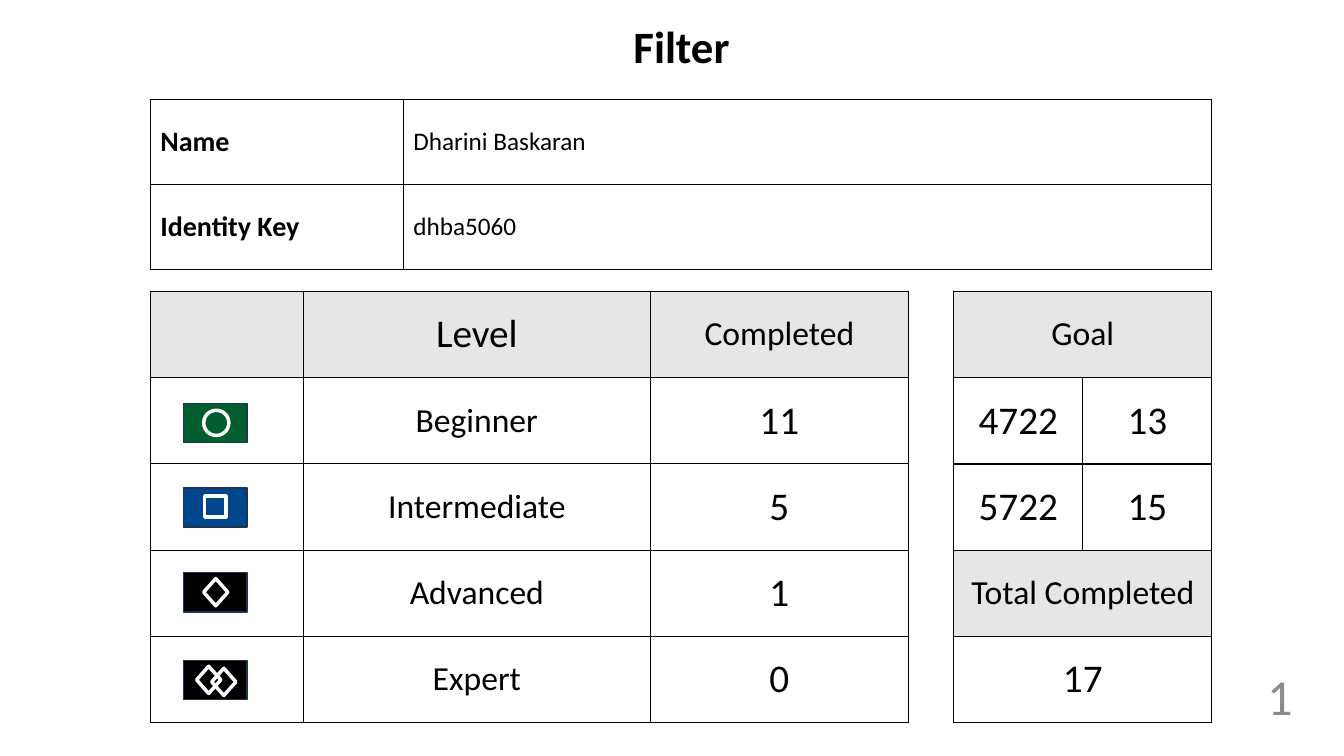
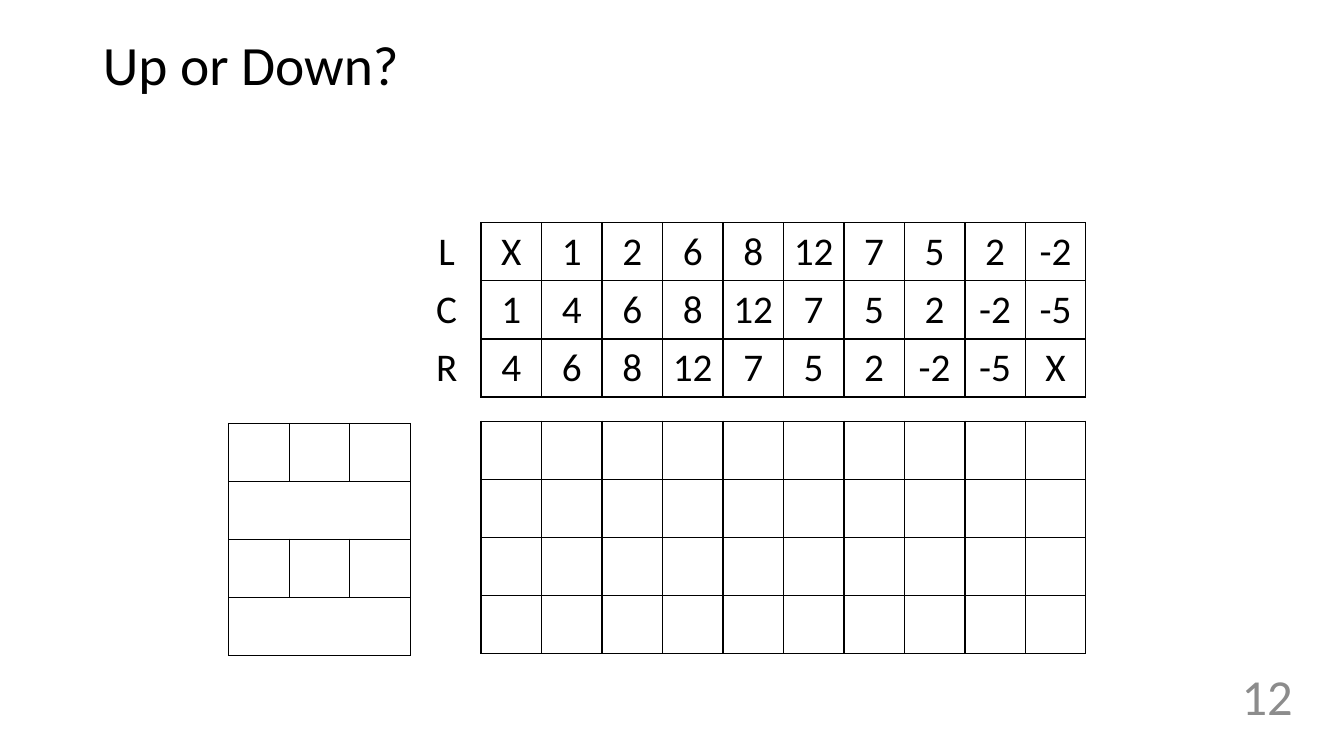
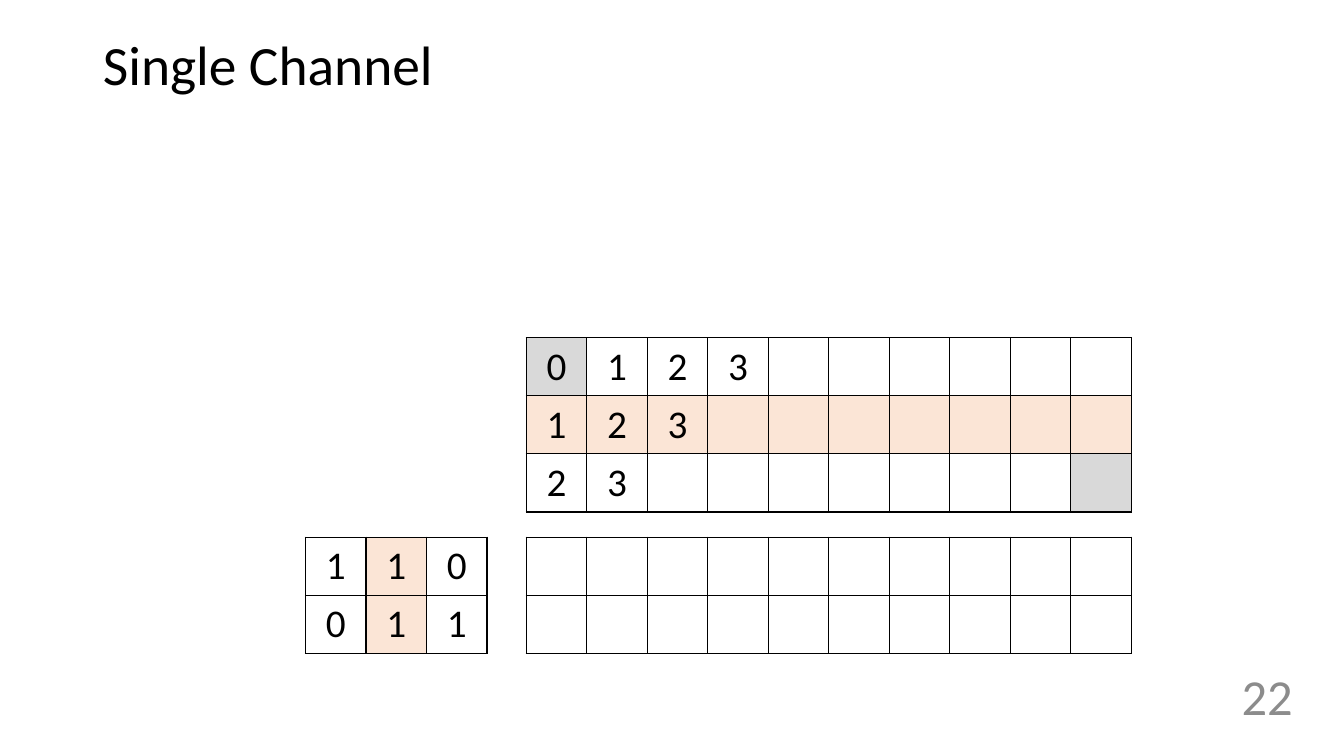
from dataclasses import dataclass

from lxml import etree
from pptx import Presentation
from pptx.dml.color import RGBColor
from pptx.enum.shapes import MSO_SHAPE
from pptx.enum.text import MSO_ANCHOR, MSO_AUTO_SIZE, PP_ALIGN
from pptx.oxml.ns import qn
from pptx.util import Inches, Pt

LEFT, CENTER, RIGHT = PP_ALIGN.LEFT, PP_ALIGN.CENTER, PP_ALIGN.RIGHT
MIDDLE = MSO_ANCHOR.MIDDLE
NO_AUTOFIT = MSO_AUTO_SIZE.NONE
RECTANGLE, ELLIPSE, DIAMOND = MSO_SHAPE.RECTANGLE, MSO_SHAPE.OVAL, MSO_SHAPE.DIAMOND
TITLE_ONLY = 5


@dataclass(frozen=True)
class Theme:
    font: str = "Calibri"
    ink: str = "000000"
    page_number: str = "8C8C8C"
    header: str = "E7E6E6"
    padding: str = "D9D9D9"
    center: str = "FBE5D6"
    beginner: str = "035E2F"
    intermediate: str = "00468B"
    expert: str = "000000"
    badge_edge: str = "1E3256"
    mark: str = "FFFFFF"
    title_size: float = 39.6
    heading_size: float = 32
    page_size: float = 36
    value_size: float = 28
    label_size: float = 24
    key_size: float = 20
    detail_size: float = 18
    border: float = 1
    mark_line: float = 2.5


THEME = Theme()
TITLE_BOX = (0.92, 0.4, 11.5, 0.55)
HEADING_BOX = (1.49, 0.13, 10.54, 0.64)
PAGE_BOX = (11.67, 6.47, 1.25, 0.86)
GRID_COLUMNS = 10
BADGE_LEFT, BADGE_WIDTH, BADGE_HEIGHT = 1.82, 0.63, 0.39


@dataclass(frozen=True)
class Cell:
    text: str = ""
    size: float = THEME.value_size
    bold: bool = False
    align: PP_ALIGN = CENTER
    fill: str = ""


def rgb(value):
    return RGBColor.from_string(value)


def inches(box):
    return [Inches(length) for length in box]


def write(frame, text, size, align=LEFT, color=THEME.ink, bold=False):
    paragraph = frame.paragraphs[0]
    paragraph.alignment = align
    run = paragraph.add_run()
    run.text = text
    font = run.font
    font.name, font.size, font.bold = THEME.font, Pt(size), bold
    font.color.rgb = rgb(color)
    return paragraph


def add_title(slide, text, box=TITLE_BOX, size=THEME.title_size,
              align=LEFT, bold=False, spacing=0.9):
    title = slide.shapes.title
    title.left, title.top, title.width, title.height = inches(box)
    frame = title.text_frame
    frame.word_wrap = True
    frame.auto_size = NO_AUTOFIT
    frame.vertical_anchor = MIDDLE
    write(frame, text, size, align, bold=bold).line_spacing = spacing


def add_page_number(slide, number):
    frame = slide.shapes.add_textbox(*inches(PAGE_BOX)).text_frame
    frame.word_wrap = True
    frame.vertical_anchor = MIDDLE
    write(frame, str(number), THEME.page_size, RIGHT, THEME.page_number)


def add_borders(cell):
    properties = cell._tc.get_or_add_tcPr()
    for position, side in enumerate(("lnL", "lnR", "lnT", "lnB")):
        line = etree.Element(qn(f"a:{side}"), w=str(Pt(THEME.border)))
        solid = etree.SubElement(line, qn("a:solidFill"))
        etree.SubElement(solid, qn("a:srgbClr"), val=THEME.ink)
        properties.insert(position, line)


def add_grid(slide, box, rows, widths=(), merged_rows=(), bordered=True):
    columns = len(rows[0])
    table = slide.shapes.add_table(len(rows), columns, *inches(box)).table
    table.first_row = table.horz_banding = False
    for column, width in zip(table.columns, widths):
        column.width = Inches(width)
    for row_index, row in enumerate(rows):
        for column_index, content in enumerate(row):
            cell = table.cell(row_index, column_index)
            cell.vertical_anchor = MIDDLE
            if content.fill:
                cell.fill.solid()
                cell.fill.fore_color.rgb = rgb(content.fill)
            else:
                cell.fill.background()
            if bordered:
                add_borders(cell)
            if content.text:
                write(cell.text_frame, content.text, content.size,
                      content.align, bold=content.bold)
    for row_index in merged_rows:
        table.cell(row_index, 0).merge(table.cell(row_index, columns - 1))


def add_outlined(shapes, kind, box, fill, line, weight):
    shape = shapes.add_shape(kind, *inches(box))
    shape.shadow.inherit = False
    if fill:
        shape.fill.solid()
        shape.fill.fore_color.rgb = rgb(fill)
    else:
        shape.fill.background()
    shape.line.color.rgb = rgb(line)
    shape.line.width = Pt(weight)


def add_badge(slide, top, fill, marks):
    shapes = slide.shapes.add_group_shape().shapes
    add_outlined(shapes, RECTANGLE, (BADGE_LEFT, top, BADGE_WIDTH, BADGE_HEIGHT),
                 fill, THEME.badge_edge, THEME.border)
    for index, (kind, dx, dy, width, height) in enumerate(marks):
        add_outlined(shapes, kind, (BADGE_LEFT + dx, top + dy, width, height),
                     "" if index else fill, THEME.mark, THEME.mark_line)


def label(text, fill=""):
    return Cell(text, THEME.label_size, fill=fill)


def values(texts, fills=None):
    fills = fills or {}
    return [Cell(text, fill=fills.get(index, "")) for index, text in enumerate(texts)]


def empty_rows(count, columns=GRID_COLUMNS):
    return [values([""] * columns) for _ in range(count)]


def padded(*texts):
    return list(texts) + [""] * (GRID_COLUMNS - len(texts))


def build_filter(slide):
    add_title(slide, "Filter", HEADING_BOX, THEME.heading_size, CENTER, True, 1)
    levels = (("Beginner", "11"), ("Intermediate", "5"), ("Advanced", "1"), ("Expert", "0"))
    header = [Cell(fill=THEME.header), Cell("Level", fill=THEME.header),
              label("Completed", THEME.header)]
    add_grid(slide, (1.49, 2.89, 7.51, 4.28),
             [header] + [[Cell(), label(level), Cell(done)] for level, done in levels],
             (1.52, 3.44, 2.56))
    person = (("Name", "Dharini Baskaran"), ("Identity Key", "dhba5060"))
    add_grid(slide, (1.49, 0.99, 10.54, 1.68),
             [[Cell(key, THEME.key_size, True, LEFT),
               Cell(detail, THEME.detail_size, align=LEFT)] for key, detail in person],
             (2.51, 8.02))
    badges = (
        (4, THEME.beginner, [(ELLIPSE, 0.2, 0.07, 0.25, 0.25)]),
        (4.84, THEME.intermediate, [(RECTANGLE, 0.21, 0.08, 0.21, 0.21)]),
        (5.68, THEME.expert, [(DIAMOND, 0.2, 0.06, 0.24, 0.27)]),
        (6.55, THEME.expert, [(DIAMOND, 0.13, 0.06, 0.24, 0.27),
                              (DIAMOND, 0.28, 0.08, 0.24, 0.27)]),
    )
    for badge in badges:
        add_badge(slide, *badge)
    add_grid(slide, (9.46, 2.89, 2.56, 2.57),
             [[label("Goal", THEME.header), Cell(fill=THEME.header)],
              values(("4722", "13")), values(("5722", "15"))], merged_rows=(0,))
    add_grid(slide, (9.46, 5.46, 2.56, 1.71),
             [[label("Total Completed", THEME.header)], [Cell("17")]])


def build_up_or_down(slide):
    add_title(slide, "Up or Down?")
    signal = ["X", "1", "4", "6", "8", "12", "7", "5", "2", "-2", "-5", "X"]
    left = ["X", "1", "2"] + signal[3:10]
    left[3:] = ["6", "8", "12", "7", "5", "2", "-2"]
    center, right = signal[1:11], signal[2:12]
    add_grid(slide, (4.77, 2.21, 6, 1.73), [values(row) for row in (left, center, right)])
    add_grid(slide, (4.77, 4.18, 6, 2.3), empty_rows(4))
    add_grid(slide, (2.27, 4.2, 1.8, 2.3), empty_rows(4, 3), merged_rows=(1, 3))
    add_grid(slide, (4.13, 2.21, 0.6, 1.73), [[Cell(side)] for side in "LCR"], bordered=False)


def build_single_channel(slide):
    add_title(slide, "Single Channel")
    last = GRID_COLUMNS - 1
    add_grid(slide, (5.22, 3.35, 6, 1.73),
             [values(padded("0", "1", "2", "3"), {0: THEME.padding}),
              values(padded("1", "2", "3"), dict.fromkeys(range(GRID_COLUMNS), THEME.center)),
              values(padded("2", "3"), {last: THEME.padding})])
    add_grid(slide, (5.22, 5.33, 6, 1.15), empty_rows(2))
    add_grid(slide, (3.03, 5.33, 1.8, 1.15),
             [values(weights, {1: THEME.center}) for weights in ("110", "011")])


def main():
    deck = Presentation()
    deck.slide_width, deck.slide_height = Inches(13.33), Inches(7.5)
    pages = ((1, build_filter), (12, build_up_or_down), (22, build_single_channel))
    for number, build in pages:
        slide = deck.slides.add_slide(deck.slide_layouts[TITLE_ONLY])
        build(slide)
        add_page_number(slide, number)
    deck.save("out.pptx")


if __name__ == "__main__":
    main()
